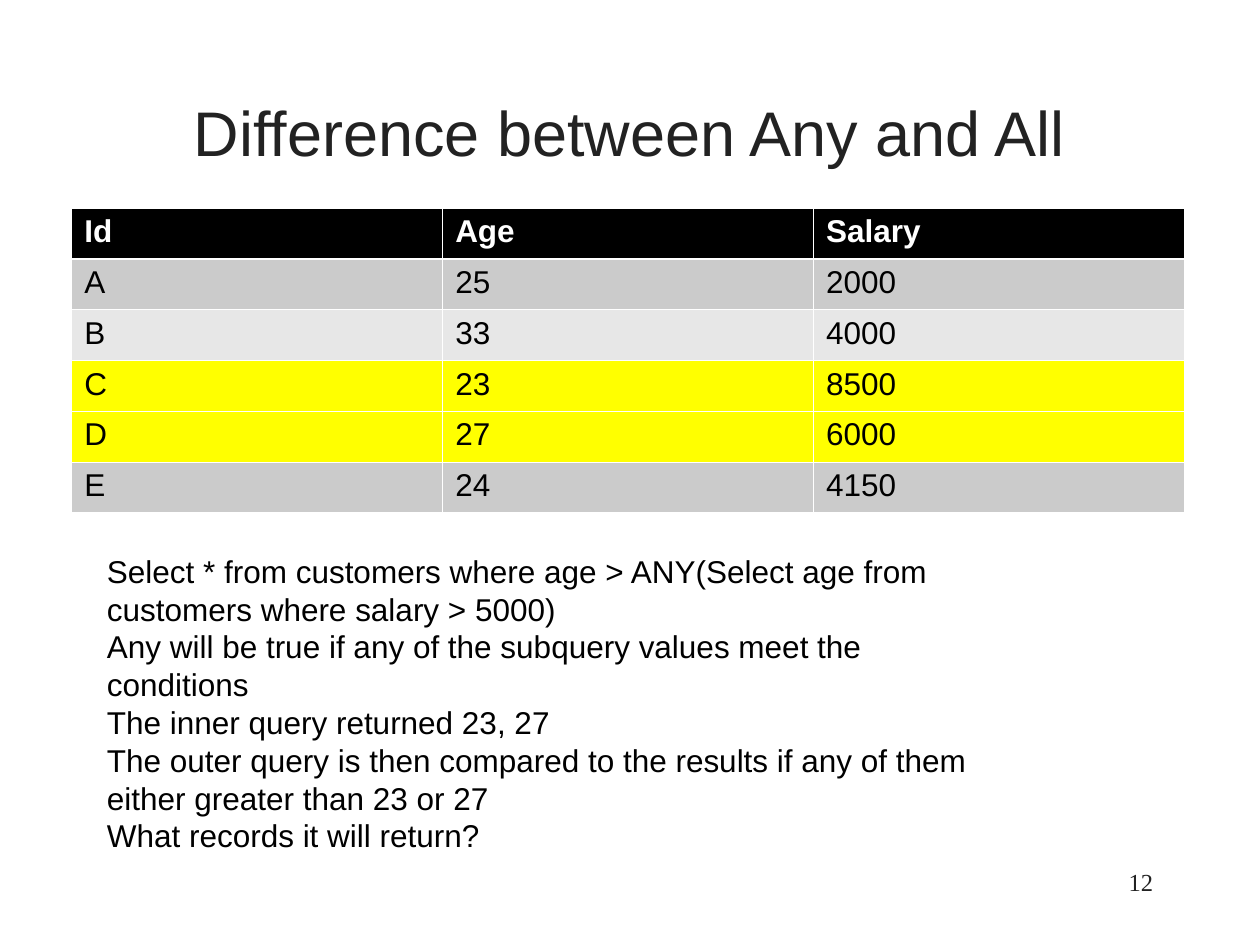
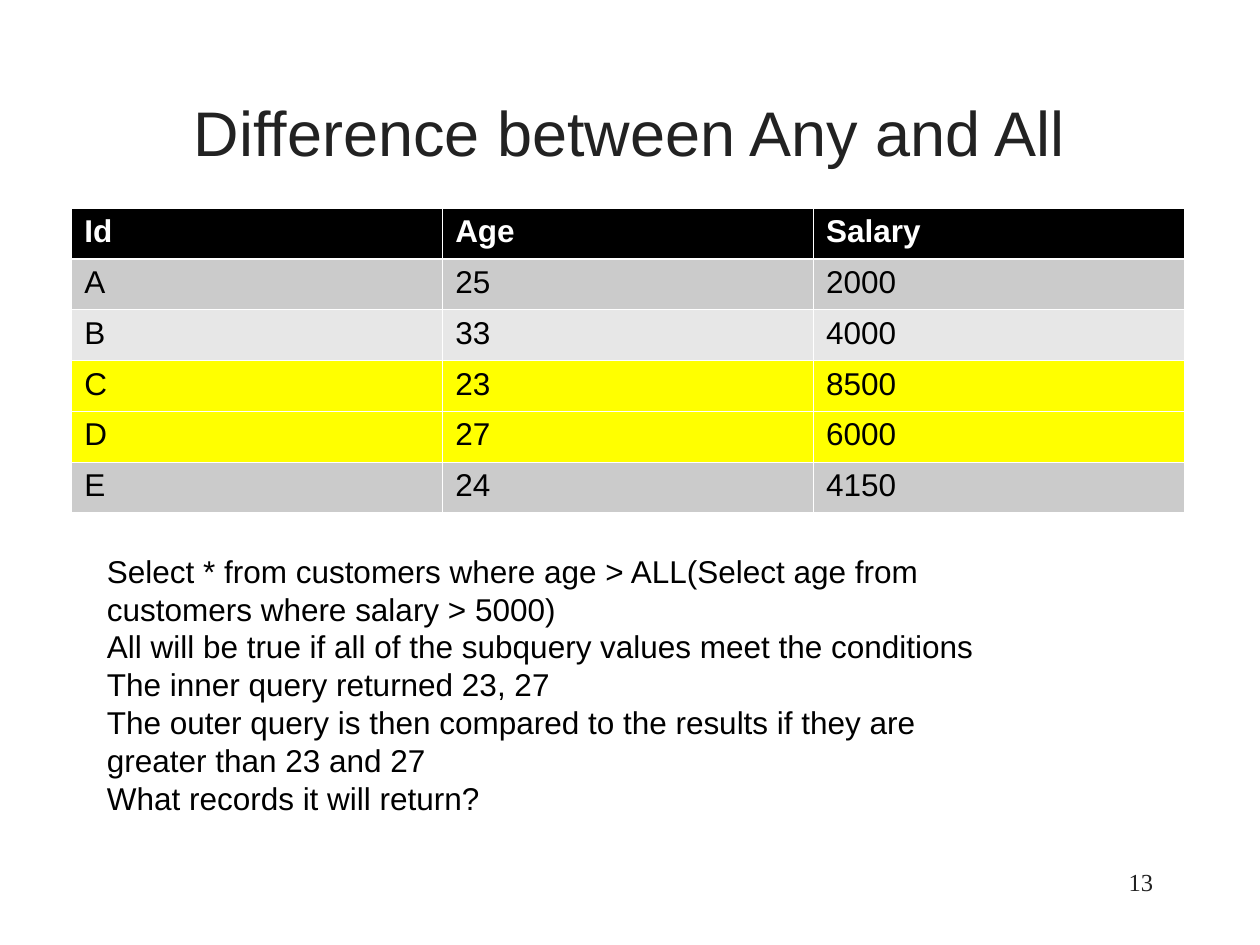
"""Build two slides comparing the SQL operators ANY and ALL."""
from lxml import etree
from pptx import Presentation
from pptx import util as u
from pptx.dml.color import RGBColor
from pptx.enum import text
from pptx.oxml import ns

COLORS = {
    "ink": "222222",
    "black": "000000",
    "white": "FFFFFF",
    "odd": "CBCBCB",
    "even": "E7E7E7",
    "match": "FFFF00",
}
FORMATS = {
    "title": {"size": u.Pt(36), "name": "Arial", "color": "ink"},
    "number": {"size": u.Pt(14), "name": "Times New Roman", "color": "ink"},
    "body": {"size": u.Pt(18), "name": "Arial", "color": "black"},
    "header": {"size": u.Pt(18), "name": "Arial", "color": "white", "bold": True},
}
CUSTOMERS = [
    ("Id", "Age", "Salary"),
    ("A", "25", "2000"),
    ("B", "33", "4000"),
    ("C", "23", "8500"),
    ("D", "27", "6000"),
    ("E", "24", "4150"),
]
SALARY_LIMIT = 5000
THIN, THICK = 0.45, 1.47
EXAMPLES = [
    {
        "number": 12,
        "height": 2.5,
        "lines": [
            "Select * from customers where age > ANY(Select age from customers where salary > 5000)",
            "Any will be true if any of the subquery values meet the conditions",
            "The inner query returned 23, 27",
            "The outer query is then compared to the results if any of them either greater than 23 or 27",
            "What records it will return?",
        ],
    },
    {
        "number": 13,
        "height": 2.2,
        "lines": [
            "Select * from customers where age > ALL(Select age from customers where salary > 5000)",
            "All will be true if all of the subquery values meet the conditions",
            "The inner query returned 23, 27",
            "The outer query is then compared to the results if they are greater than 23 and 27",
            "What records it will return?",
        ],
    },
]


def rgb(color):
    """Return the named colour as an RGB value."""
    return RGBColor.from_string(COLORS[color])


def write(para, words, style):
    """Add words to a paragraph in one of the shared formats."""
    span = para.add_run()
    span.text = words
    for key, value in FORMATS[style].items():
        if key == "color":
            span.font.color.rgb = rgb(value)
        else:
            setattr(span.font, key, value)


def add_text(page, place, lines, style, align=text.PP_ALIGN.LEFT, **frame_format):
    """Add a wrapping text box with one paragraph for each line."""
    box = page.shapes.add_textbox(*map(u.Inches, place))
    frame = box.text_frame
    for key, value in {"word_wrap": True, **frame_format}.items():
        setattr(frame, key, value)
    for index, line in enumerate(lines):
        para = frame.add_paragraph() if index else frame.paragraphs[0]
        para.alignment = align
        write(para, line, style)


def add_border(cell, side, width):
    """Draw a white line on one side (L, R, T or B) of a cell."""
    line = etree.SubElement(cell._tc.get_or_add_tcPr(), ns.qn(f"a:ln{side}"), w=str(u.Pt(width)))
    fill = etree.SubElement(line, ns.qn("a:solidFill"))
    etree.SubElement(fill, ns.qn("a:srgbClr"), val=COLORS["white"])


def row_color(row, salary):
    """Choose a row's fill: header, salary match or alternating band."""
    if row == 0:
        return "black"
    if int(salary) > SALARY_LIMIT:
        return "match"
    return "odd" if row % 2 else "even"


def add_customers(page):
    """Add the customer table with the matching rows highlighted."""
    place = map(u.Inches, (0.57, 1.65, 8.83, 2.42))
    table = page.shapes.add_table(len(CUSTOMERS), len(CUSTOMERS[0]), *place).table
    for row, customer in enumerate(CUSTOMERS):
        widths = {
            "L": THIN,
            "R": THIN,
            "T": THICK if row == 1 else THIN,
            "B": THICK if row == 0 else THIN,
        }
        for column, value in enumerate(customer):
            cell = table.cell(row, column)
            for side, width in widths.items():
                add_border(cell, side, width)
            cell.fill.solid()
            cell.fill.fore_color.rgb = rgb(row_color(row, customer[-1]))
            write(cell.text_frame.paragraphs[0], value, "body" if row else "header")


def add_example(deck, example):
    """Add one slide: title, customer table, page number and explanation."""
    page = deck.slides.add_slide(deck.slide_layouts[6])
    add_text(page, (0.58, 0.42, 8.83, 1.25), ["Difference between Any and All"], "title",
             text.PP_ALIGN.CENTER, vertical_anchor=text.MSO_ANCHOR.MIDDLE)
    add_customers(page)
    add_text(page, (7.17, 6.83, 2.08, 0.5), [str(example["number"])], "number", text.PP_ALIGN.RIGHT)
    add_text(page, (0.75, 4.33, 7.17, example["height"]), example["lines"], "body",
             auto_size=text.MSO_AUTO_SIZE.SHAPE_TO_FIT_TEXT)


def main():
    """Build and save the deck."""
    deck = Presentation()
    deck.slide_width, deck.slide_height = u.Inches(10), u.Inches(7.5)
    for example in EXAMPLES:
        add_example(deck, example)
    deck.save("out.pptx")


if __name__ == "__main__":
    main()
